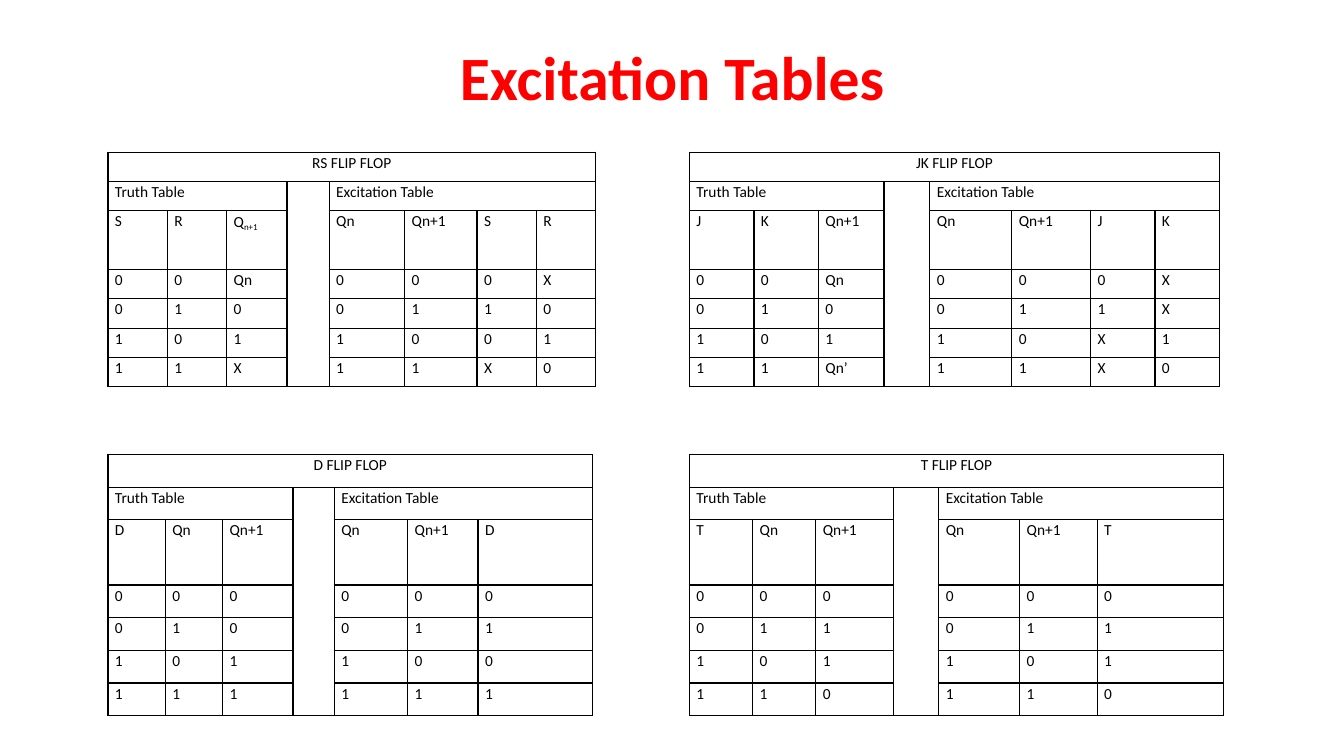
from lxml.etree import SubElement
from pptx import Presentation
from pptx.dml.color import RGBColor
from pptx.enum.text import MSO_ANCHOR, MSO_AUTO_SIZE, PP_ALIGN
from pptx.oxml.ns import qn
from pptx.util import Inches, Pt

FONT = "Calibri"
BLACK, RED = "000000", "FF0000"
GAP_COLUMN = 3
ROW_UNITS = [1, 1, 2, 1, 1, 1, 1]
FOUR_INPUT_COLUMNS = [59, 59, 60, 42, 75, 72, 59, 59]
THREE_INPUT_COLUMNS = [57, 57, 70, 41, 73, 70, 114]

TITLE_BOX = (6.9, 5.33, 86.25, 10.67)
FLIP_FLOPS = [
    ("RS FLIP FLOP", (8.03, 20.13, 36.3, 31.07), FOUR_INPUT_COLUMNS,
     ["S R Q_n+1", "0 0 Qn", "0 1 0", "1 0 1", "1 1 X"],
     ["Qn Qn+1 S R", "0 0 0 X", "0 1 1 0", "1 0 0 1", "1 1 X 0"]),
    ("JK FLIP FLOP", (51.3, 20.13, 39.45, 31.07), FOUR_INPUT_COLUMNS,
     ["J K Qn+1", "0 0 Qn", "0 1 0", "1 0 1", "1 1 Qn’"],
     ["Qn Qn+1 J K", "0 0 0 X", "0 1 1 X", "1 0 X 1", "1 1 X 0"]),
    ("T FLIP FLOP", (51.3, 60.13, 39.75, 34.53), THREE_INPUT_COLUMNS,
     ["T Qn Qn+1", "0 0 0", "0 1 1", "1 0 1", "1 1 0"],
     ["Qn Qn+1 T", "0 0 0", "0 1 1", "1 0 1", "1 1 0"]),
    ("D FLIP FLOP", (8.03, 60.13, 36.08, 34.53), THREE_INPUT_COLUMNS,
     ["D Qn Qn+1", "0 0 0", "0 1 0", "1 0 1", "1 1 1"],
     ["Qn Qn+1 D", "0 0 0", "0 1 1", "1 0 0", "1 1 1"]),
]


def color(value):
    return RGBColor.from_string(value)


def percent_box(presentation, box):
    sides = (presentation.slide_width, presentation.slide_height) * 2
    return [round(side * share / 100) for side, share in zip(sides, box)]


def style_font(font, size, value, bold=False):
    font.name, font.size, font.bold = FONT, Pt(size), bold
    font.color.rgb = color(value)


def add_title(slide, box):
    title = slide.shapes.title
    title.left, title.top, title.width, title.height = box
    frame = title.text_frame
    frame.text = "Excitation Tables"
    frame.auto_size = MSO_AUTO_SIZE.NONE
    frame.vertical_anchor = MSO_ANCHOR.MIDDLE
    paragraph = frame.paragraphs[0]
    paragraph.alignment = PP_ALIGN.CENTER
    paragraph.line_spacing = 0.9
    style_font(paragraph.font, 44, RED, bold=True)


def style_cell(cell):
    cell.margin_left = cell.margin_right = Inches(0.07)
    cell.margin_top = cell.margin_bottom = 0
    properties = cell._tc.get_or_add_tcPr()
    for side in ("lnL", "lnR", "lnT", "lnB"):
        line = SubElement(properties, qn(f"a:{side}"), w=str(Pt(1)))
        fill = SubElement(line, qn("a:solidFill"))
        SubElement(fill, qn("a:srgbClr"), val=BLACK)
    cell.fill.background()
    paragraph = cell.text_frame.paragraphs[0]
    paragraph.line_spacing = 1.07
    style_font(paragraph.font, 11, BLACK)


def write_cell(cell, text):
    base, _, subscript = text.partition("_")
    paragraph = cell.text_frame.paragraphs[0]
    paragraph.add_run().text = base
    if subscript:
        run = paragraph.add_run()
        run.text = subscript
        run._r.get_or_add_rPr().set("baseline", "-25000")


def add_flip_flop(slide, box, name, column_units, truth, excitation):
    width, height = box[2:]
    last_row, last_column = len(ROW_UNITS) - 1, len(column_units) - 1
    shape = slide.shapes.add_table(last_row + 1, last_column + 1, *box)
    table = shape.table
    table.first_row = table.horz_banding = False
    for column, units in zip(table.columns, column_units):
        column.width = round(width * units / sum(column_units))
    for row, units in zip(table.rows, ROW_UNITS):
        row.height = round(height * units / sum(ROW_UNITS))
    for cell in table.iter_cells():
        style_cell(cell)

    excitation_column = GAP_COLUMN + 1
    table.cell(0, 0).merge(table.cell(0, last_column))
    table.cell(1, 0).merge(table.cell(1, GAP_COLUMN - 1))
    table.cell(1, GAP_COLUMN).merge(table.cell(last_row, GAP_COLUMN))
    table.cell(1, excitation_column).merge(table.cell(1, last_column))

    write_cell(table.cell(0, 0), name)
    table.cell(0, 0).text_frame.paragraphs[0].alignment = PP_ALIGN.CENTER
    sections = [(0, "Truth Table", truth),
                (excitation_column, "Excitation Table", excitation)]
    for first_column, heading, lines in sections:
        write_cell(table.cell(1, first_column), heading)
        for row, line in enumerate(lines, 2):
            for column, text in enumerate(line.split(), first_column):
                write_cell(table.cell(row, column), text)


def main():
    presentation = Presentation()
    presentation.slide_width = Inches(13.33)
    presentation.slide_height = Inches(7.5)
    slide = presentation.slides.add_slide(presentation.slide_layouts[5])
    add_title(slide, percent_box(presentation, TITLE_BOX))
    for name, box, column_units, truth, excitation in FLIP_FLOPS:
        add_flip_flop(slide, percent_box(presentation, box), name,
                      column_units, truth, excitation)
    presentation.save("out.pptx")


if __name__ == "__main__":
    main()
